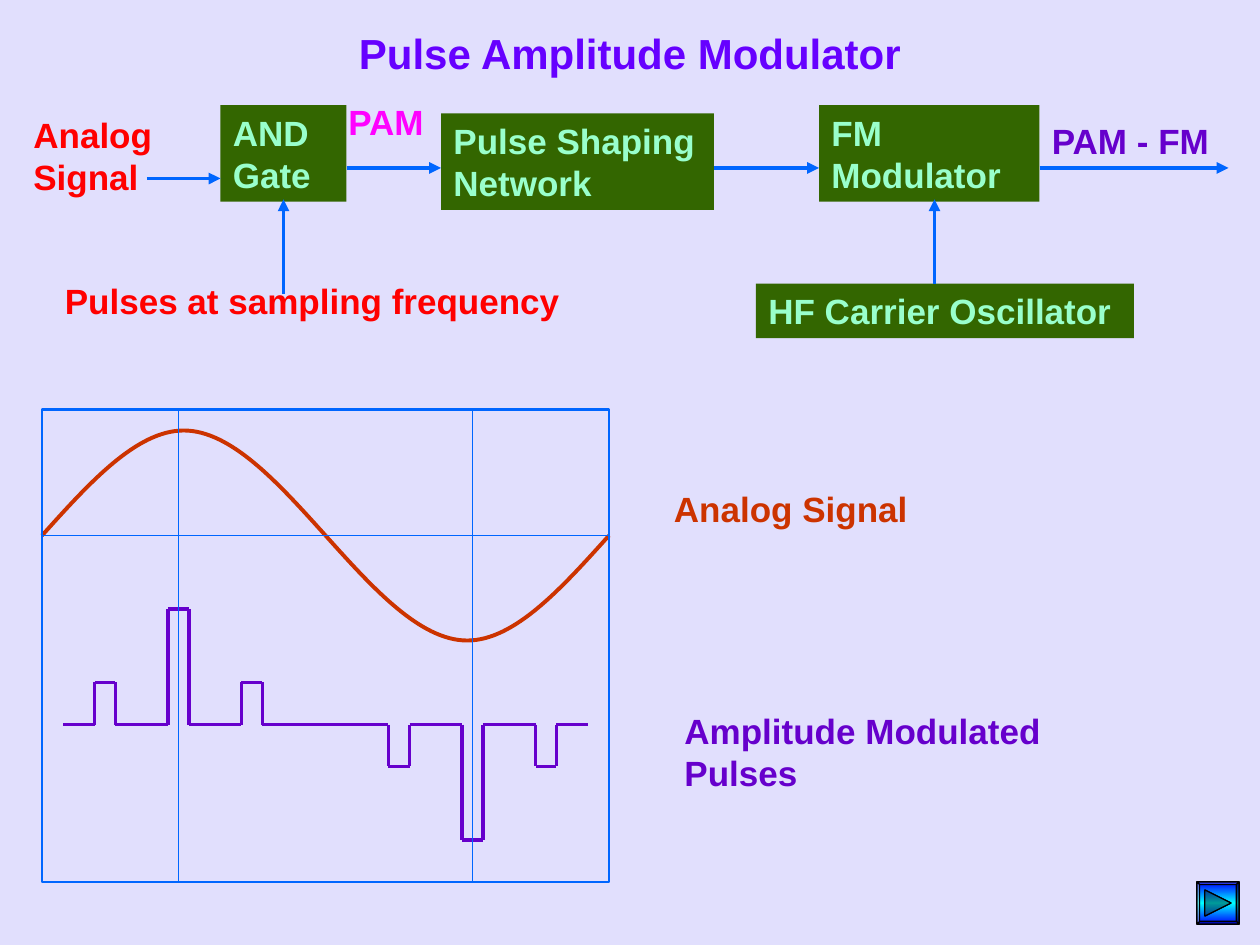
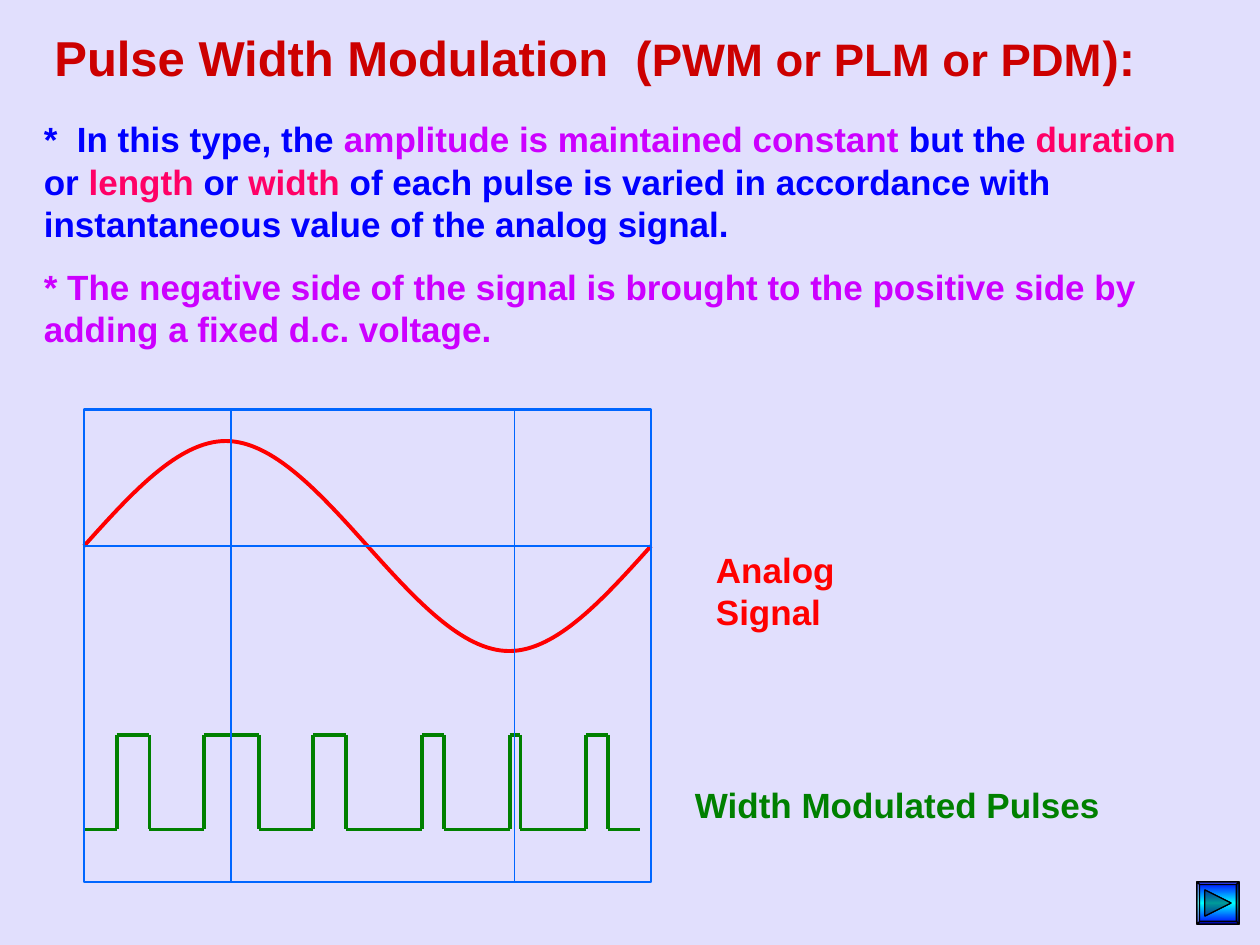
from copy import deepcopy
from itertools import pairwise

from lxml import etree
from pptx import Presentation
from pptx.dml.color import RGBColor
from pptx.enum.shapes import MSO_CONNECTOR, MSO_SHAPE
from pptx.enum.text import PP_ALIGN
from pptx.oxml import parse_xml
from pptx.oxml.ns import nsdecls, qn
from pptx.util import Inches, Pt

RECT, STRAIGHT, LEFT = MSO_SHAPE.RECTANGLE, MSO_CONNECTOR.STRAIGHT, PP_ALIGN.LEFT
FONT = "Arial"
COLORS = {
    "background": "E1DFFD", "box": "336600", "box_text": "99FFCC", "line": "0066FF",
    "red": "FF0000", "dark_red": "CC0000", "rust": "CC3300", "violet": "6600CC",
    "title_violet": "6600FF", "magenta": "FF00FF", "blue": "0000FF", "purple": "CC00FF",
    "pink": "FF0066", "green": "008000", "cyan": "00FFFF", "black": "000000",
}
# The slide is a grid of 120 columns by 90 rows, 12 to the inch.
CELL = Inches(1) / 12
SCOPE_TOP, SCOPE_W, SCOPE_H = 39, 54, 45
AMPLITUDE = 10


def grid(*cells):
    return [round(c * CELL) for c in cells]


def rgb(name):
    return RGBColor.from_string(COLORS[name])


def new_slide(prs):
    s = prs.slides.add_slide(prs.slide_layouts[6])
    s.background.fill.solid()
    s.background.fill.fore_color.rgb = rgb("background")
    return s


def set_line(shape, color, width):
    shape.line.color.rgb = rgb(color)
    shape.line.width = Pt(width)


def add_runs(p, parts, size, color):
    """Add runs; a part is a string or a (text, overrides) pair."""
    for part in parts:
        text, changes = (part, {}) if isinstance(part, str) else part
        r = p.add_run()
        r.text = text
        r.font.name, r.font.bold = FONT, True
        r.font.size = Pt(changes.get("size", size))
        r.font.color.rgb = rgb(changes.get("color", color))


def add_text(s, at, *paragraphs, size=20, color="violet", fill=None):
    """Write paragraphs, each a string or a list of parts, in a plain or filled box."""
    if fill:
        sp = s.shapes.add_shape(RECT, *grid(*at))
        sp.shadow.inherit = False
        sp.fill.solid()
        sp.fill.fore_color.rgb = rgb(fill)
        sp.line.fill.background()
    else:
        sp = s.shapes.add_textbox(*grid(*at))
    tf = sp.text_frame
    tf.word_wrap = True
    for i, parts in enumerate(paragraphs):
        p = tf.add_paragraph() if i else tf.paragraphs[0]
        p.alignment = LEFT
        if i:
            p.space_before = Pt(12.5)
        add_runs(p, [parts] if isinstance(parts, str) else parts, size, color)


def add_line(s, x1, y1, x2, y2, color="line", width=0.75, arrow=False):
    c = s.shapes.add_connector(STRAIGHT, *grid(x1, y1, x2, y2))
    set_line(c, color, width)
    if arrow:
        c.line._get_or_add_ln().append(parse_xml(f'<a:tailEnd {nsdecls("a")} type="triangle"/>'))
    c._element.spPr.append(parse_xml(f'<a:effectLst {nsdecls("a")}/>'))


def add_outline(s, *contours, close):
    builder = s.shapes.build_freeform(*grid(*contours[0][0]))
    for i, (start, *rest) in enumerate(contours):
        if i:
            builder.move_to(*grid(*start))
        builder.add_line_segments([grid(*point) for point in rest], close=close)
    sp = builder.convert_to_shape()
    sp.shadow.inherit = False
    return sp


def add_half_wave(s, left, axis, height, color):
    """Two Bezier curves up to the peak and back, with evenly spaced control points."""
    step = SCOPE_W / 12
    shares = (0, 0.5, 1, 1, 1, 0.5, 0)
    sp = add_outline(s, [(left + i * step, axis - height * share)
                         for i, share in enumerate(shares)], close=False)
    path = next(sp._element.iter(qn("a:path")))
    segments = path.findall(qn("a:lnTo"))
    for three in (segments[:3], segments[3:]):
        curve = etree.SubElement(path, qn("a:cubicBezTo"))
        for segment in three:
            curve.append(segment[0])
            path.remove(segment)
    sp.fill.background()
    set_line(sp, color, 2.25)


def add_pulses(s, start, end, base, pulses, color):
    """Square pulses given as (left, right, rise) along a base line."""
    points = [(start, base)]
    for left, right, rise in pulses:
        top = base - rise
        points += [(left, base), (left, top), (right, top), (right, base)]
    points.append((end, base))
    for a, b in pairwise(points):
        if a != b:
            add_line(s, *a, *b, color=color, width=2.25)


def add_scope(s, left, axis, markers, wave_color):
    add_half_wave(s, left, axis, AMPLITUDE, wave_color)
    add_half_wave(s, left + SCOPE_W / 2, axis, -AMPLITUDE, wave_color)
    frame = s.shapes.add_shape(RECT, *grid(left, SCOPE_TOP, SCOPE_W, SCOPE_H))
    frame.shadow.inherit = False
    frame.fill.background()
    set_line(frame, "line", 1.5)
    for x in markers:
        add_line(s, x, SCOPE_TOP, x, SCOPE_TOP + SCOPE_H)
    add_line(s, left, axis, left + SCOPE_W, axis)


def add_next_button(s):
    """A bevelled square with a triangle, each face shaded as its own path."""
    x, y, side, bevel = 114, 84, 4, 0.25
    outer = [(x, y), (x + side, y), (x + side, y + side), (x, y + side)]
    near, far = bevel, side - bevel
    inner = [(x + near, y + near), (x + far, y + near), (x + far, y + far), (x + near, y + far)]
    faces = [[outer[i], outer[(i + 1) % 4], inner[(i + 1) % 4], inner[i]] for i in range(4)]
    triangle = [(x + 0.75, y + 0.75), (x + 3.25, y + 2), (x + 0.75, y + 3.25)]
    sp = add_outline(s, outer, *faces, triangle, close=True)
    joined = next(sp._element.iter(qn("a:path")))
    shades = iter(("norm", "lightenLess", "darken", "darkenLess", "lighten", "darken"))
    for command in list(joined):
        if command.tag == qn("a:moveTo"):
            path = deepcopy(joined)
            for child in list(path):
                path.remove(child)
            path.set("fill", next(shades))
            joined.getparent().append(path)
        path.append(command)
    joined.getparent().remove(joined)
    stops = "".join(f'<a:gs pos="{pos}"><a:srgbClr val="{COLORS[name]}"/></a:gs>'
                    for pos, name in ((0, "blue"), (50000, "cyan"), (100000, "blue")))
    sp._element.spPr.find(qn("a:custGeom")).addnext(parse_xml(
        f'<a:gradFill {nsdecls("a")}><a:gsLst>{stops}</a:gsLst><a:lin ang="5400000"/></a:gradFill>'))
    set_line(sp, "black", 0.75)


def build_pam(prs):
    s = new_slide(prs)
    for at, text in (((21, 10, 12, 9.2), "AND Gate"),
                     ((42, 10.8, 26, 9.2), "Pulse Shaping Network"),
                     ((78, 10, 21, 9.2), "FM Modulator"),
                     ((72, 27, 36, 5.2), "HF Carrier Oscillator")):
        add_text(s, at, text, color="box_text", fill="box")
    for at, text, color in (((2, 10.2, 14, 9.2), "Analog Signal", "red"),
                            ((99, 10.8, 21, 5.2), "PAM - FM", "violet"),
                            ((5, 26, 51, 5.2), "Pulses at sampling frequency", "red"),
                            ((32, 9, 11, 5.2), "PAM", "magenta"),
                            ((63, 45.8, 27, 5.2), "Analog Signal", "rust"),
                            ((64, 67, 38, 9.2), "Amplitude Modulated Pulses", "violet")):
        add_text(s, at, text, color=color)
    add_text(s, (33, 2, 63, 6), "Pulse Amplitude Modulator", size=24, color="title_violet")
    for ends in ((14, 17, 21, 17), (33, 16, 42, 16), (68, 16, 78, 16), (99, 16, 117, 16),
                 (27, 28, 27, 19), (89, 27, 89, 19)):
        add_line(s, *ends, width=2.25, arrow=True)
    add_next_button(s)
    lefts, rises = (9, 16, 23, 37, 44, 51), (4, 11, 4, -4, -11, -4)
    pulses = [(x, x + 2, rise) for x, rise in zip(lefts, rises)]
    add_pulses(s, 6, 56, 69, pulses, "violet")
    add_scope(s, 4, 51, (17, 45), "rust")


def build_pwm(prs):
    s = new_slide(prs)
    pink, purple = {"color": "pink"}, {"color": "purple"}
    add_text(s, (3, 10.65, 114, 23.3),
             ["*  In this type, the ", ("amplitude is maintained constant", purple), " but the ",
              ("duration ", pink), "or ", ("length", pink), " or ", ("width", pink),
              " of each pulse is varied in accordance with instantaneous value of the "
              "analog signal."],
             [("* The negative side of the signal is brought to the positive side by adding "
               "a fixed d.c. voltage.", purple)],
             color="blue")
    add_text(s, (67, 51.6, 24.6, 5.2), "Analog Signal", color="red")
    add_text(s, (65, 74, 41, 5.2), "Width Modulated Pulses", color="green")
    add_next_button(s)
    add_text(s, (4, 2, 106, 6.8),
             ["Pulse Width Modulation  (", ("PWM or PLM or PDM", {"size": 26}), "):"],
             size=28, color="dark_red")
    left, end, ticks = 8, 61, 51
    tick = (end - left) / ticks
    edges = ((3, 6), (11, 16), (21, 24), (31, 33), (39, 40), (46, 48))
    pulses = [(left + a * tick, left + b * tick, 9) for a, b in edges]
    add_pulses(s, left, end, 79, pulses, "green")
    add_scope(s, left, 52, (22, 49), "red")


def main():
    prs = Presentation()
    prs.slide_width, prs.slide_height = Inches(10), Inches(7.5)
    build_pam(prs)
    build_pwm(prs)
    prs.save("out.pptx")


if __name__ == "__main__":
    main()
